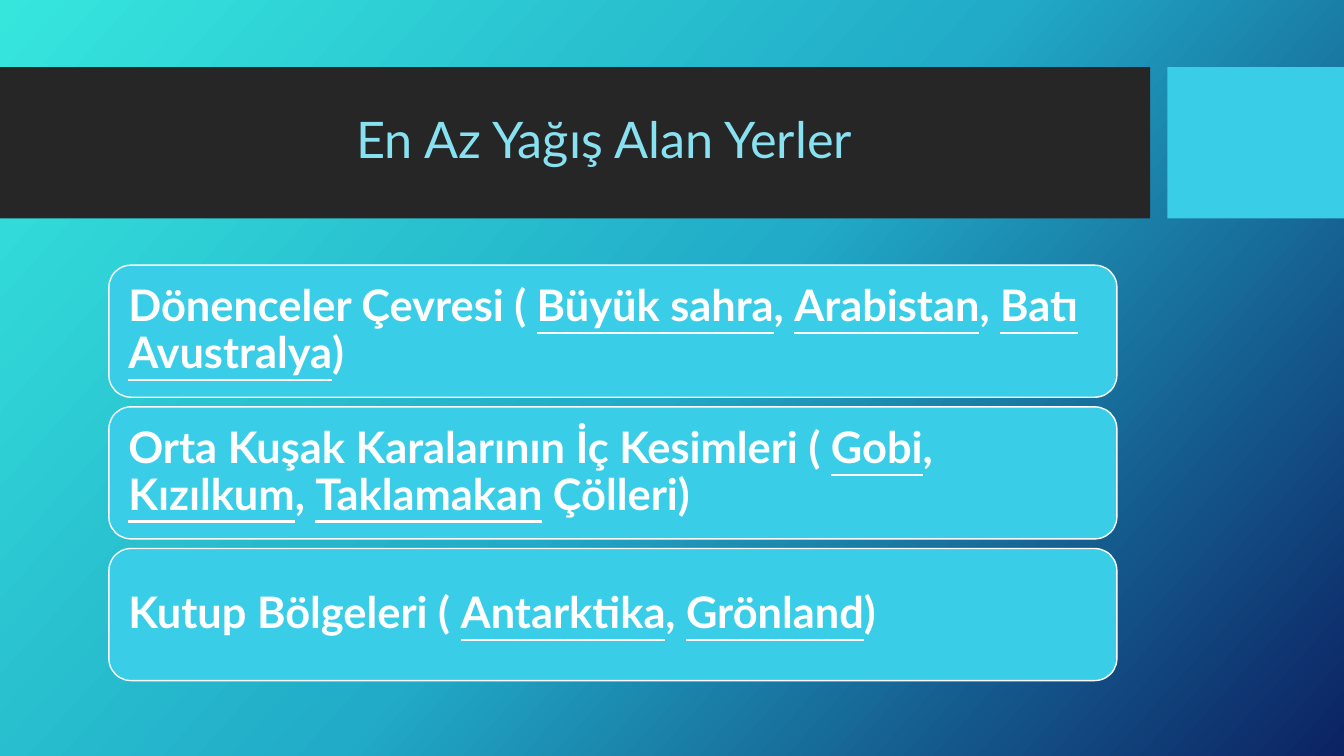
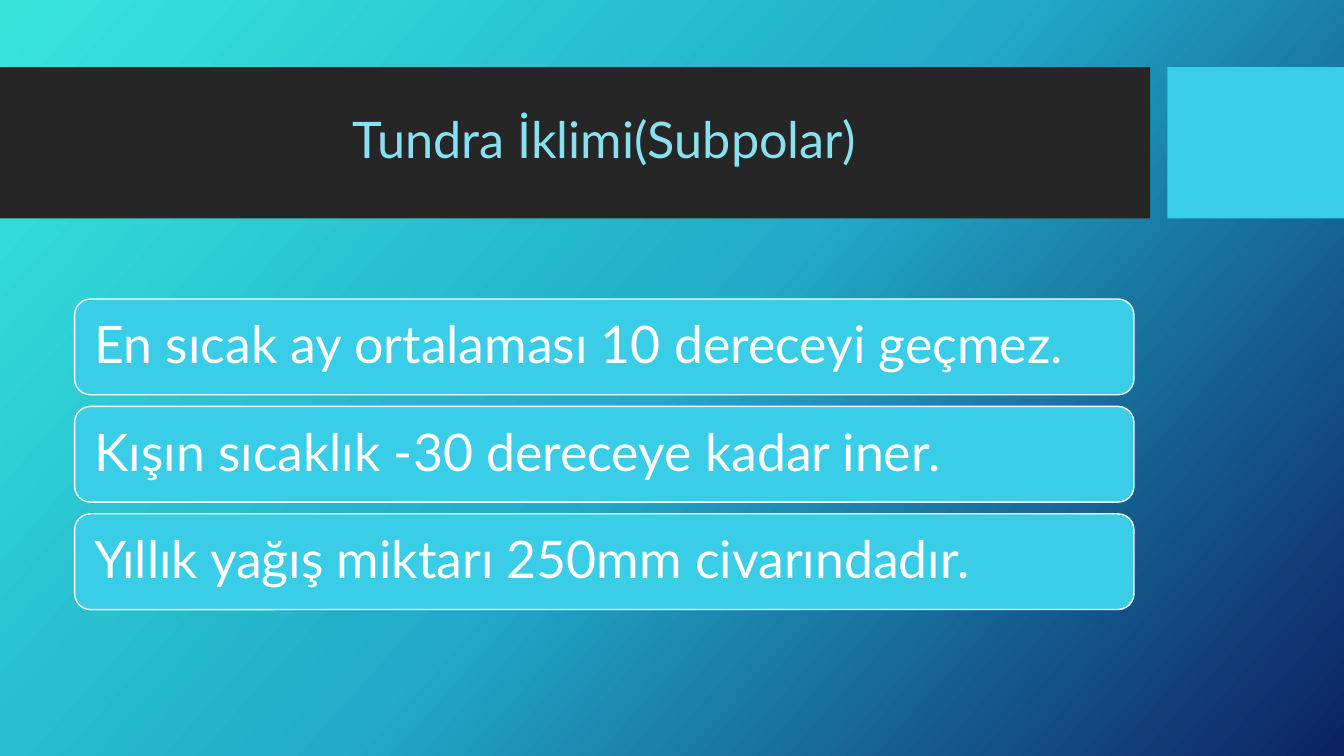
from copy import deepcopy
from dataclasses import dataclass

from pptx import Presentation
from pptx.dml.color import RGBColor
from pptx.enum.shapes import MSO_SHAPE as Shape
from pptx.enum.text import MSO_ANCHOR as Anchor, PP_ALIGN as Align
from pptx.oxml.ns import qn
from pptx.slide import Slide, SlideLayout
from pptx.util import Pt

FONT = "Lato"
DARK = RGBColor(0x26, 0x26, 0x26)
CYAN = RGBColor(0x39, 0xCD, 0xE7)
PALE_CYAN = RGBColor(0x88, 0xE1, 0xF1)
WHITE = RGBColor(0xFF, 0xFF, 0xFF)
GRADIENT = (
    (0, RGBColor(0x36, 0xE6, 0xDD)),
    (0.5, RGBColor(0x21, 0xAB, 0xC8)),
    (1, RGBColor(0x0C, 0x22, 0x63)),
)
GRADIENT_ANGLE = 360 - 42  # python-pptx counts counter-clockwise

SLIDE_WIDTH, SLIDE_HEIGHT = 960, 540
BAND_TOP, BAND_HEIGHT = 48, 108
LINE_SPACING = 0.9
TITLE_ONLY = 5


@dataclass(frozen=True)
class Box:
    left: float
    top: float
    width: float
    height: float

    def lengths(self) -> tuple[Pt, Pt, Pt, Pt]:
        return Pt(self.left), Pt(self.top), Pt(self.width), Pt(self.height)


@dataclass(frozen=True)
class CardStack:
    """Equal cards under each other; underscores enclose underlined words."""

    title: str
    first: Box
    gap: float
    inset: float
    size: float
    bold: bool
    texts: tuple[str, ...]


TITLE_BOX = Box(53.3, 59, 756.7, 85)
TITLE_BAND = Box(0, BAND_TOP, 821.5, BAND_HEIGHT)
ACCENT_BAND = Box(833.8, BAND_TOP, SLIDE_WIDTH - 833.8, BAND_HEIGHT)

STACKS = (
    CardStack(
        "En Az Yağış Alan Yerler",
        Box(77.8, 189.4, 720, 94.3), 6.9, 9.3, 31, True,
        (
            "Dönenceler Çevresi ( _Büyük sahra_, _Arabistan_, _Batı Avustralya_)",
            "Orta Kuşak Karalarının İç Kesimleri ( _Gobi_, _Kızılkum_, _Taklamakan_ Çölleri)",
            "Kutup Bölgeleri ( _Antarktika_, _Grönland_)",
        ),
    ),
    CardStack(
        "Tundra İklimi(Subpolar)",
        Box(53.3, 213.6, 756.7, 68.4), 8.3, 11, 37, False,
        (
            "En sıcak ay ortalaması 10 dereceyi geçmez.",
            "Kışın sıcaklık -30 dereceye kadar iner.",
            "Yıllık yağış miktarı 250mm civarındadır.",
        ),
    ),
)


def style_background(layout: SlideLayout) -> None:
    fill = layout.background.fill
    fill.gradient()
    fill.gradient_angle = GRADIENT_ANGLE
    stop_list = next(layout.element.iter(qn("a:gsLst")))
    stop_list.insert(1, deepcopy(stop_list[0]))
    for stop, (position, color) in zip(fill.gradient_stops, GRADIENT):
        stop.position = position
        stop.color.rgb = color


def add_layout_band(layout: SlideLayout, slide: Slide, box: Box,
                    color: RGBColor, shape_id: int) -> None:
    """Draw a band on the slide, then move it to the layout that all slides share."""
    band = slide.shapes.add_shape(Shape.RECTANGLE, *box.lengths())
    band.shadow.inherit = False
    band.fill.solid()
    band.fill.fore_color.rgb = color
    band.line.fill.background()
    next(band.element.iter(qn("p:cNvPr"))).set("id", str(shape_id))
    layout.shapes.element.append(band.element)


def place_layout_title(layout: SlideLayout) -> None:
    title = layout.placeholders[0]
    title.left, title.top, title.width, title.height = TITLE_BOX.lengths()


def set_title(slide: Slide, text: str) -> None:
    frame = slide.shapes.title.text_frame
    frame.text = text
    frame.vertical_anchor = Anchor.MIDDLE
    para = frame.paragraphs[0]
    para.alignment = Align.CENTER
    para.line_spacing = LINE_SPACING
    font = para.runs[0].font
    font.name, font.size = FONT, Pt(36)
    font.color.rgb = PALE_CYAN


def add_card(slide: Slide, stack: CardStack, box: Box, text: str) -> None:
    card = slide.shapes.add_shape(Shape.ROUNDED_RECTANGLE, *box.lengths())
    card.shadow.inherit = False
    card.fill.solid()
    card.fill.fore_color.rgb = CYAN
    card.line.color.rgb = WHITE
    card.line.width = Pt(1)

    frame = card.text_frame
    frame.word_wrap = True
    frame.vertical_anchor = Anchor.MIDDLE
    frame.margin_left = frame.margin_right = Pt(stack.inset)
    frame.margin_top = frame.margin_bottom = Pt(stack.inset)
    para = frame.paragraphs[0]
    para.alignment = Align.LEFT
    para.line_spacing = LINE_SPACING
    for index, words in enumerate(text.split("_")):
        span = para.add_run()
        span.text = words
        font = span.font
        font.name, font.size = FONT, Pt(stack.size)
        font.bold = stack.bold
        font.underline = index % 2 == 1
        font.color.rgb = WHITE


def add_stack(slide: Slide, stack: CardStack) -> None:
    first = stack.first
    for index, text in enumerate(stack.texts):
        top = first.top + index * (first.height + stack.gap)
        add_card(slide, stack, Box(first.left, top, first.width, first.height), text)


def main() -> None:
    deck = Presentation()
    deck.slide_width, deck.slide_height = Pt(SLIDE_WIDTH), Pt(SLIDE_HEIGHT)
    layout = deck.slide_layouts[TITLE_ONLY]
    style_background(layout)
    place_layout_title(layout)

    pages = [deck.slides.add_slide(layout) for _ in STACKS]
    add_layout_band(layout, pages[0], TITLE_BAND, DARK, 20)
    add_layout_band(layout, pages[0], ACCENT_BAND, CYAN, 21)
    for page, stack in zip(pages, STACKS):
        set_title(page, stack.title)
        add_stack(page, stack)
    deck.save("out.pptx")


if __name__ == "__main__":
    main()
